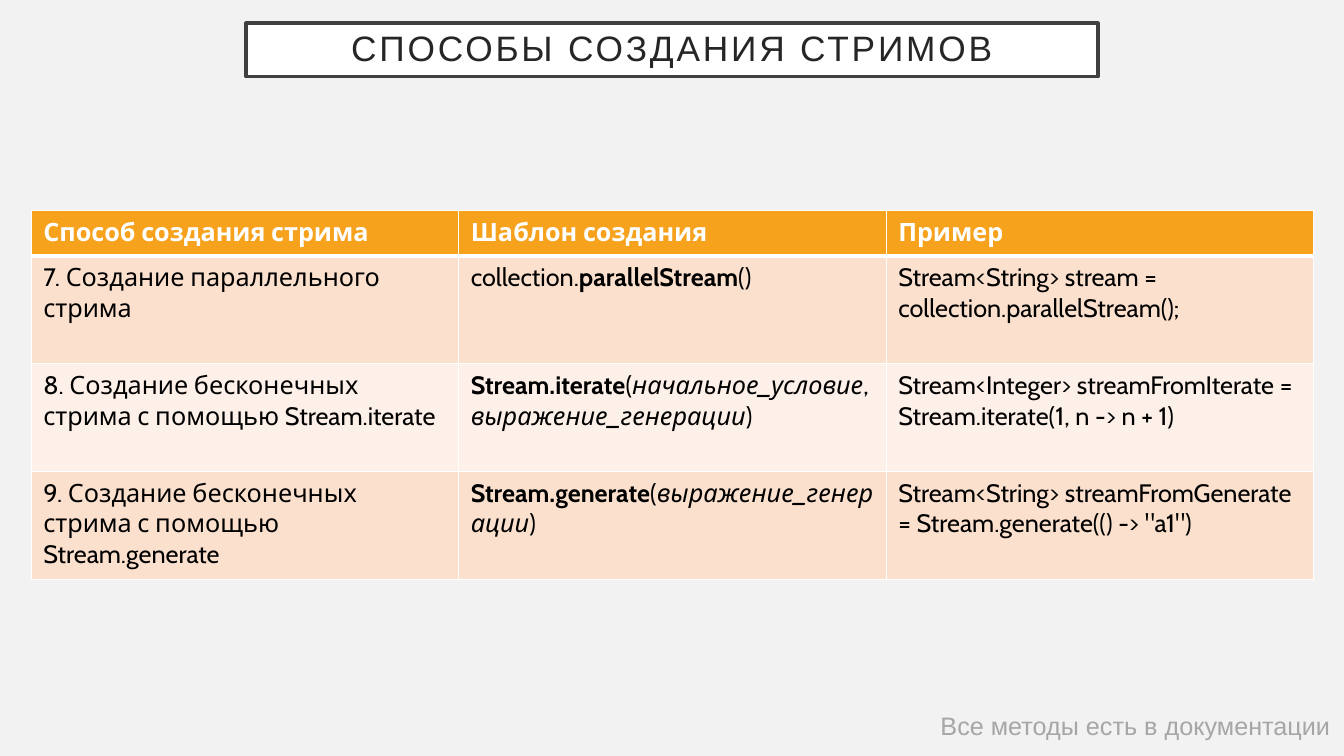
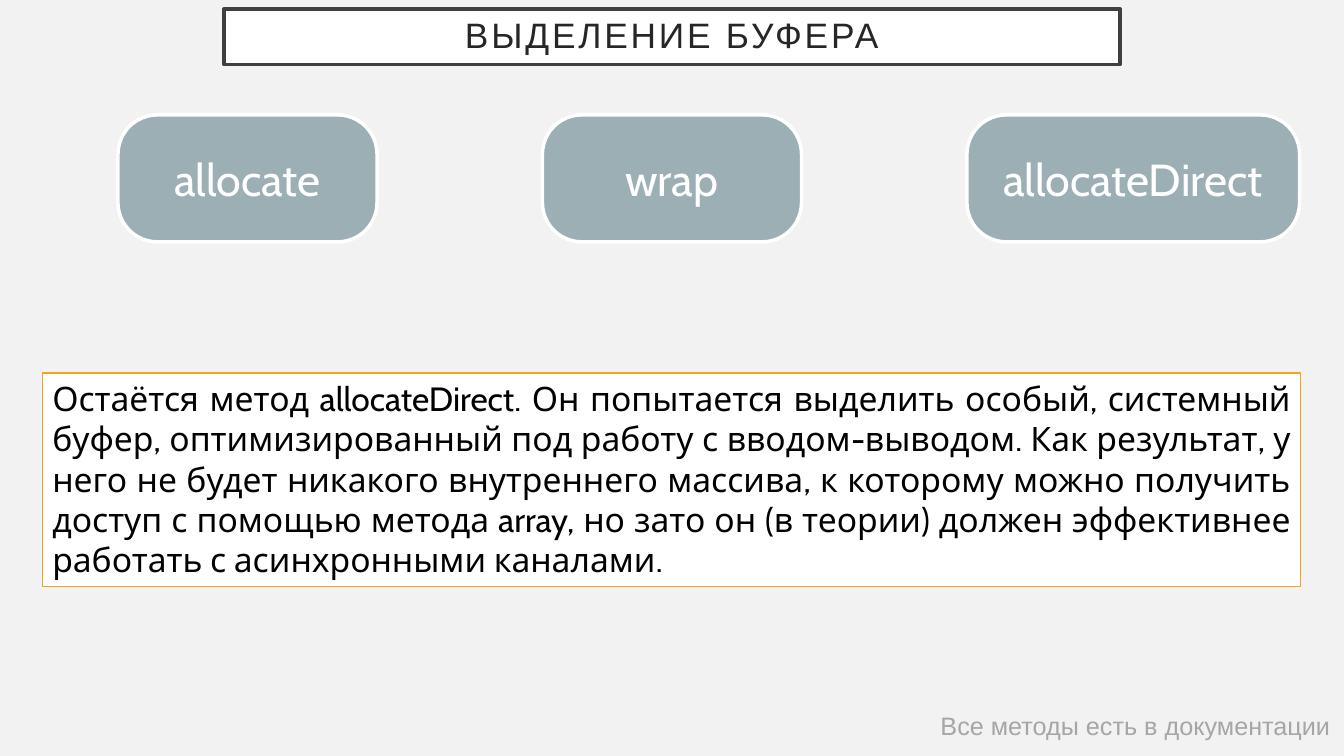
from lxml.etree import SubElement
from pptx import Presentation
from pptx.dml.color import RGBColor
from pptx.enum.shapes import MSO_SHAPE
from pptx.enum.text import MSO_ANCHOR, MSO_AUTO_SIZE, PP_ALIGN
from pptx.oxml.ns import qn
from pptx.util import Inches, Pt

BACKGROUND = RGBColor(0xF2, 0xF2, 0xF2)
WHITE = RGBColor(0xFF, 0xFF, 0xFF)
BLACK = RGBColor(0, 0, 0)
TITLE_LINE = RGBColor(0x40, 0x40, 0x40)
TITLE_TEXT = RGBColor(0x26, 0x26, 0x26)
FOOTER_TEXT = RGBColor(0xA6, 0xA6, 0xA6)
ORANGE = RGBColor(0xF6, 0xA2, 0x1D)
PEACH = RGBColor(0xFB, 0xE0, 0xCD)
PALE_PEACH = RGBColor(0xFD, 0xF0, 0xE8)
SLATE = RGBColor(0x9B, 0xAF, 0xB5)

HEADING_FONT = "Arial"
BODY_FONT = "Cabin"
TITLE_ONLY = 5
FOOTER = "Все методы есть в документации"

STREAM_ROWS = [
    ["Способ создания стрима", "Шаблон создания", "Пример"],
    [
        "7. Создание параллельного стрима",
        [("collection.", ""), ("parallelStream", "bold"), ("()", "")],
        "Stream<String> stream = collection.parallelStream();",
    ],
    [
        "8. Создание бесконечных стрима с помощью Stream.iterate",
        [("Stream.iterate", "bold"), ("(", ""), ("начальное_условие", "italic"),
         (", ", ""), ("выражение_генерации", "italic"), (")", "")],
        "Stream<Integer> streamFromIterate = Stream.iterate(1, n -> n + 1)",
    ],
    [
        "9. Создание бесконечных стрима с помощью Stream.generate",
        [("Stream.generate", "bold"), ("(", ""),
         ("выражение_генерации", "italic"), (")", "")],
        'Stream<String> streamFromGenerate = Stream.generate(() -> "a1")',
    ],
]

BUFFER_METHODS = [("allocate", 2.57), ("wrap", 2.57), ("allocateDirect", 3.3)]
BUFFER_NOTE = (
    "Остаётся метод allocateDirect. Он попытается выделить особый, системный "
    "буфер, оптимизированный под работу с вводом-выводом. Как результат, у него "
    "не будет никакого внутреннего массива, к которому можно получить доступ с "
    "помощью метода array, но зато он (в теории) должен эффективнее работать с "
    "асинхронными каналами."
)


def add_text(paragraph, text, size=18, color=BLACK, font=BODY_FONT,
             bold=False, italic=False, align=None, spacing=None):
    run = paragraph.add_run()
    run.text = text
    run.font.name = font
    run.font.size = Pt(size)
    run.font.color.rgb = color
    run.font.bold = bold
    run.font.italic = italic
    if align is not None:
        paragraph.alignment = align
    if spacing is not None:
        run.font._element.set("spc", str(spacing * 100))


def paint(shape, fill, line, width):
    shape.fill.solid()
    shape.fill.fore_color.rgb = fill
    shape.line.color.rgb = line
    shape.line.width = Pt(width)


def place_title(slide, text, left, top, width, height):
    title = slide.shapes.title
    title.left, title.top = Inches(left), Inches(top)
    title.width, title.height = Inches(width), Inches(height)
    paint(title, WHITE, TITLE_LINE, 2.5)
    frame = title.text_frame
    frame.auto_size = MSO_AUTO_SIZE.NONE
    frame.vertical_anchor = MSO_ANCHOR.MIDDLE
    frame.margin_left = frame.margin_right = Inches(0.2)
    frame.margin_top = frame.margin_bottom = Inches(0.2)
    paragraph = frame.paragraphs[0]
    paragraph.line_spacing = 0.9
    add_text(paragraph, text, size=25.2, color=TITLE_TEXT, font=HEADING_FONT,
             align=PP_ALIGN.CENTER, spacing=2)


def place_footer(slide, left=9.23, top=7, width=4.1, height=0.4):
    box = slide.shapes.add_textbox(Inches(left), Inches(top), Inches(width), Inches(height))
    box.text_frame.word_wrap = False
    add_text(box.text_frame.paragraphs[0], FOOTER, color=FOOTER_TEXT, font=HEADING_FONT)


def add_slide(presentation, title, title_box):
    slide = presentation.slides.add_slide(presentation.slide_layouts[TITLE_ONLY])
    place_title(slide, title, *title_box)
    place_footer(slide)
    return slide


def set_borders(cell, top=1, bottom=1):
    properties = cell._tc.get_or_add_tcPr()
    for side, width in (("L", 1), ("R", 1), ("T", top), ("B", bottom)):
        line = SubElement(properties, qn(f"a:ln{side}"), w=str(Pt(width)))
        fill = SubElement(line, qn("a:solidFill"))
        SubElement(fill, qn("a:srgbClr"), val=str(WHITE))


def fill_cell(cell, content, row_index):
    header = row_index == 0
    set_borders(cell, top=3 if row_index == 1 else 1, bottom=3 if header else 1)
    cell.fill.solid()
    cell.fill.fore_color.rgb = ORANGE if header else (PALE_PEACH, PEACH)[row_index % 2]
    cell.margin_left = cell.margin_right = Inches(0.12)
    cell.margin_top, cell.margin_bottom = Inches(0.06), Inches(0.09)
    runs = [(content, "bold" if header else "")] if isinstance(content, str) else content
    for text, style in runs:
        add_text(cell.text_frame.paragraphs[0], text, color=WHITE if header else BLACK,
                 bold=style == "bold", italic=style == "italic")


def place_table(slide, rows, left, top, width, header_height, row_height):
    height = header_height + row_height * (len(rows) - 1)
    frame = slide.shapes.add_table(len(rows), len(rows[0]), Inches(left), Inches(top),
                                   Inches(width), Inches(height))
    table = frame.table
    table.horz_banding = False
    for row_index, contents in enumerate(rows):
        table.rows[row_index].height = Inches(row_height if row_index else header_height)
        for column_index, content in enumerate(contents):
            fill_cell(table.cell(row_index, column_index), content, row_index)


def place_methods(slide, methods, left, top, height, step):
    for index, (name, width) in enumerate(methods):
        shape = slide.shapes.add_shape(
            MSO_SHAPE.ROUNDED_RECTANGLE, Inches(left + index * step), Inches(top),
            Inches(width), Inches(height))
        shape.adjustments[0] = 0.31
        shape.shadow.inherit = False
        paint(shape, SLATE, WHITE, 2.5)
        shape.text_frame.vertical_anchor = MSO_ANCHOR.MIDDLE
        add_text(shape.text_frame.paragraphs[0], name, size=32, color=WHITE,
                 align=PP_ALIGN.CENTER)


def place_note(slide, text, left, top, width, height):
    note = slide.shapes.add_shape(MSO_SHAPE.RECTANGLE, Inches(left), Inches(top),
                                  Inches(width), Inches(height))
    note.shadow.inherit = False
    paint(note, WHITE, ORANGE, 1)
    note.text_frame.word_wrap = True
    note.text_frame.vertical_anchor = MSO_ANCHOR.TOP
    add_text(note.text_frame.paragraphs[0], text, size=24, align=PP_ALIGN.JUSTIFY)


def build_streams_slide(presentation):
    slide = add_slide(presentation, "СПОСОБЫ СОЗДАНИЯ СТРИМОВ", (2.44, 0.23, 8.45, 0.53))
    place_table(slide, STREAM_ROWS, 0.31, 2.09, 12.72, header_height=0.45, row_height=1.07)


def build_buffer_slide(presentation):
    slide = add_slide(presentation, "ВЫДЕЛЕНИЕ БУФЕРА", (2.22, 0.09, 8.89, 0.55))
    place_methods(slide, BUFFER_METHODS, 1.17, 1.14, height=1.26, step=4.21)
    place_note(slide, BUFFER_NOTE, 0.42, 3.7, 12.48, 2.12)


def main():
    presentation = Presentation()
    presentation.slide_width = Inches(13.33)
    presentation.slide_height = Inches(7.5)
    background = presentation.slide_master.background.fill
    background.solid()
    background.fore_color.rgb = BACKGROUND
    build_streams_slide(presentation)
    build_buffer_slide(presentation)
    presentation.save("out.pptx")


if __name__ == "__main__":
    main()
